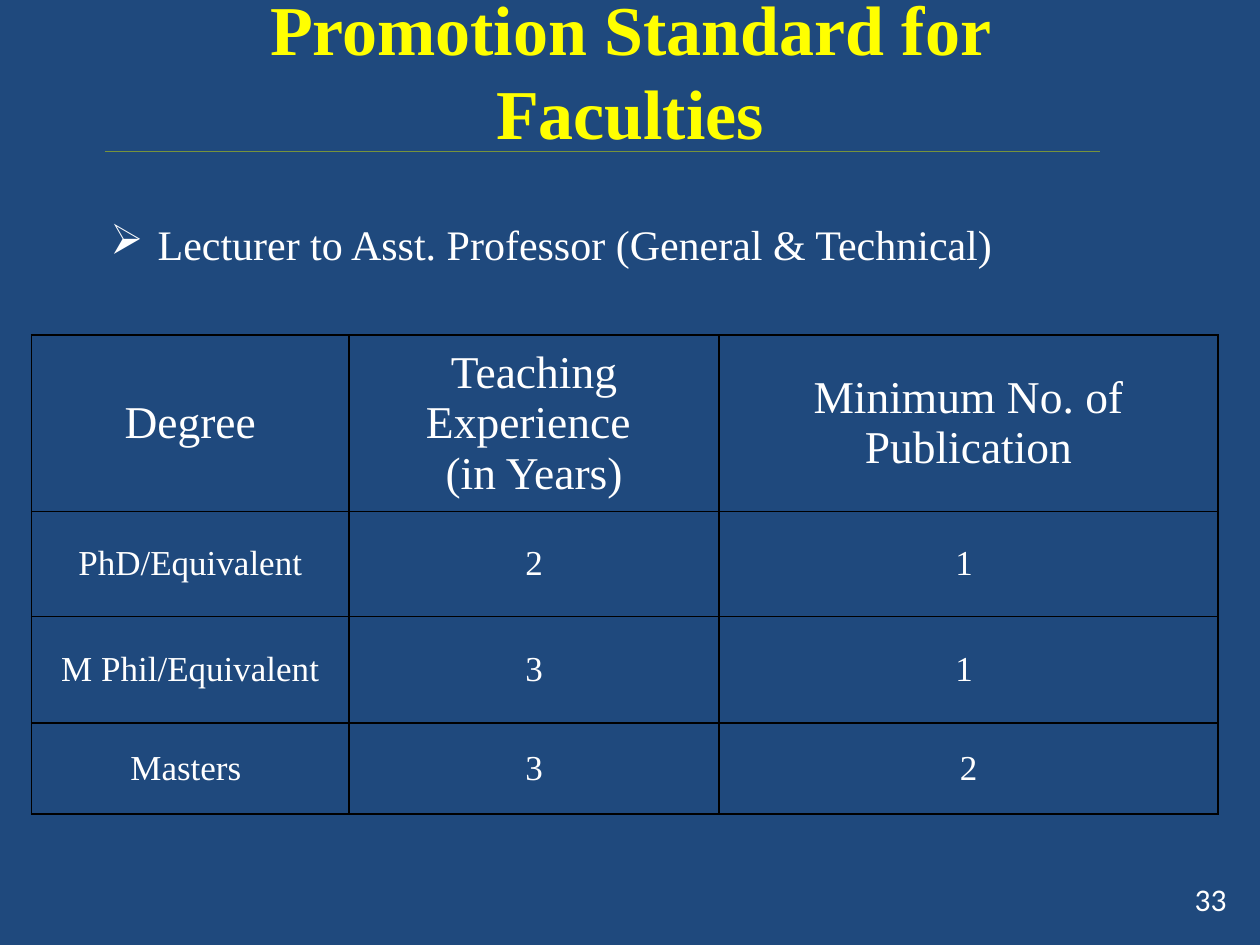
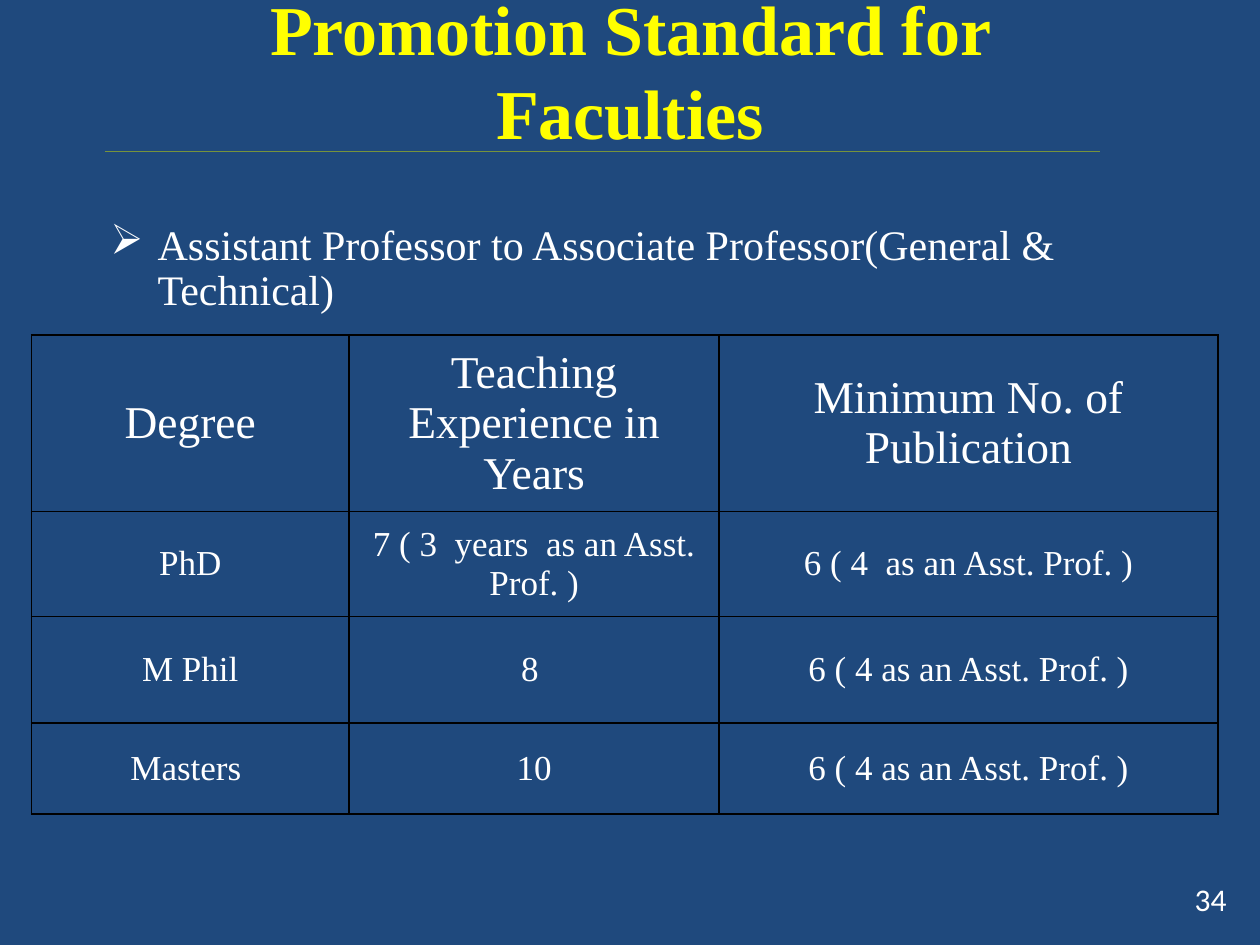
from lxml import etree
from pptx import Presentation
from pptx import util as u
from pptx.dml.color import RGBColor
from pptx.enum import shapes, text
from pptx.oxml import ns

Pt = u.Pt
NAVY = RGBColor(0x1F, 0x49, 0x7D)
YELLOW = RGBColor(0xFF, 0xFF, 0x00)
WHITE = RGBColor(0xFF, 0xFF, 0xFF)
OLIVE = RGBColor(0x77, 0x93, 0x3C)
BLACK = RGBColor(0x00, 0x00, 0x00)

SERIF = "Times New Roman"
SANS = "Calibri"

TITLE = "Promotion Standard for Faculties"
TITLE_BOX = (78, 4.5, 564, 70.5)
RULE_BOX = (60, 86.5, 568.5, 0)
NUMBER_BOX = (540, 499, 168, 29)
TOPIC_BOX = (2, 124.5, 678, 60)
TABLE_BOX = (18, 191.5, 678, 273.5)
COLUMN_WIDTHS = (181.5, 211.5, 285)
ROW_HEIGHTS = (100.5, 60, 61, 52)

PROMOTIONS = [
    (33, "Lecturer to Asst. Professor (General & Technical)", [
        ("Degree", "Teaching Experience \n(in Years)", "Minimum No. of Publication"),
        ("PhD/Equivalent", "2", "1 "),
        ("M Phil/Equivalent", "3", "1 "),
        ("Masters ", "3", "2"),
    ]),
    (34, "Assistant Professor to Associate Professor(General & Technical)", [
        ("Degree", "Teaching Experience in Years", "Minimum No. of Publication"),
        ("PhD", "7 ( 3  years  as an Asst. Prof. )", "6 ( 4  as an Asst. Prof. )"),
        ("M Phil", "8 ", "6 ( 4 as an Asst. Prof. )"),
        ("Masters ", "10", "6 ( 4 as an Asst. Prof. )"),
    ]),
]


def write(frame, words, size, align, color=WHITE, font=SERIF, bold=False):
    frame.word_wrap = True
    for index, line in enumerate(words.split("\n")):
        para = frame.add_paragraph() if index else frame.paragraphs[0]
        para.alignment = align
        span = para.add_run()
        span.text = line
        span.font.size = Pt(size)
        span.font.name = font
        span.font.bold = bold
        span.font.color.rgb = color
    return frame.paragraphs[0]


def add_title(page, box):
    title = page.shapes.title
    title.left, title.top, title.width, title.height = map(Pt, box)
    title.text_frame.auto_size = text.MSO_AUTO_SIZE.NONE
    title.text_frame.vertical_anchor = text.MSO_ANCHOR.MIDDLE
    write(title.text_frame, TITLE, 40, text.PP_ALIGN.CENTER, YELLOW, bold=True)


def add_rule(page, box):
    left, top, width, height = box
    rule = page.shapes.add_connector(
        shapes.MSO_CONNECTOR.STRAIGHT,
        Pt(left), Pt(top), Pt(left + width), Pt(top + height))
    rule.line.color.rgb = OLIVE
    rule.line.width = Pt(0.75)
    etree.SubElement(rule.element.spPr, ns.qn("a:effectLst"))


def add_page_number(page, box, number):
    frame = page.shapes.add_textbox(*map(Pt, box)).text_frame
    frame.vertical_anchor = text.MSO_ANCHOR.MIDDLE
    write(frame, str(number), 18, text.PP_ALIGN.RIGHT, font=SANS)


def add_topic(page, box, topic):
    frame = page.shapes.add_textbox(*map(Pt, box)).text_frame
    para = write(frame, topic, 24, text.PP_ALIGN.LEFT)
    para.line_spacing = 0.9
    para.space_before = Pt(10)
    properties = para._p.get_or_add_pPr()
    properties.set("marL", str(Pt(81)))
    properties.set("indent", str(Pt(-27)))
    etree.SubElement(properties, ns.qn("a:buFont"), typeface="Wingdings")
    properties.remove(properties[-1])
    etree.SubElement(properties, ns.qn("a:buChar"), char="➢")


def add_borders(cell):
    properties = cell._tc.get_or_add_tcPr()
    for position, side in enumerate(("lnL", "lnR", "lnT", "lnB")):
        border = etree.Element(ns.qn("a:" + side), w=str(Pt(1)))
        fill = etree.SubElement(border, ns.qn("a:solidFill"))
        etree.SubElement(fill, ns.qn("a:srgbClr"), val=str(BLACK))
        properties.insert(position, border)


def add_standards(page, box, rows):
    table = page.shapes.add_table(
        len(rows), len(COLUMN_WIDTHS), *map(Pt, box)).table
    table.first_row = False
    table.horz_banding = False
    for column, width in zip(table.columns, COLUMN_WIDTHS):
        column.width = Pt(width)
    for row, height in zip(table.rows, ROW_HEIGHTS):
        row.height = Pt(height)
    for row_index, row in enumerate(rows):
        for column_index, words in enumerate(row):
            cell = table.cell(row_index, column_index)
            cell.vertical_anchor = text.MSO_ANCHOR.MIDDLE
            cell.fill.background()
            add_borders(cell)
            size = 20 if row_index else 26
            write(cell.text_frame, words, size, text.PP_ALIGN.CENTER)


def add_promotion_page(deck, number, topic, rows):
    page = deck.slides.add_slide(deck.slide_layouts[5])
    add_rule(page, RULE_BOX)
    add_page_number(page, NUMBER_BOX, number)
    add_title(page, TITLE_BOX)
    add_topic(page, TOPIC_BOX, topic)
    add_standards(page, TABLE_BOX, rows)


def main():
    deck = Presentation()
    deck.slide_width, deck.slide_height = Pt(720), Pt(540)
    background = deck.slide_master.background.fill
    background.solid()
    background.fore_color.rgb = NAVY
    for promotion in PROMOTIONS:
        add_promotion_page(deck, *promotion)
    deck.save("out.pptx")


if __name__ == "__main__":
    main()
